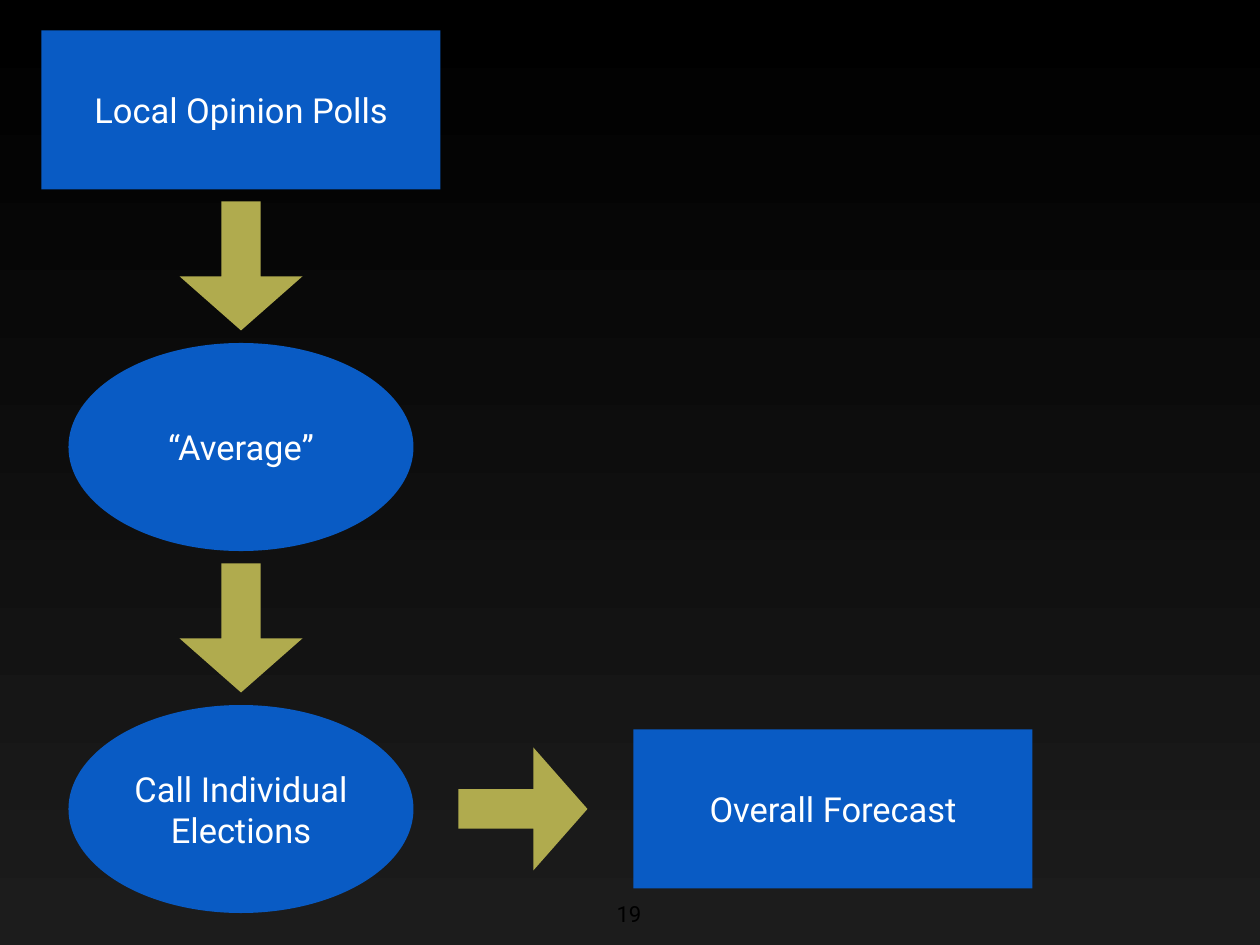
from pptx import Presentation
from pptx.dml.color import RGBColor
from pptx.enum.shapes import MSO_SHAPE
from pptx.enum.text import MSO_ANCHOR, PP_ALIGN
from pptx.util import Pt

PX = 10320
BLACK = RGBColor(0x00, 0x00, 0x00)
CHARCOAL = RGBColor(0x1C, 0x1C, 0x1C)
BLUE = RGBColor(0x09, 0x5B, 0xC4)
OLIVE = RGBColor(0xB0, 0xAB, 0x4E)
WHITE = RGBColor(0xFF, 0xFF, 0xFF)

BOX = (MSO_SHAPE.RECTANGLE, 399, 159)
OVAL = (MSO_SHAPE.OVAL, 345, 208)
ARROW = (MSO_SHAPE.RIGHT_ARROW, 129, 123)
COLUMN_X, RESULT_X = 241, 833
RESULT_Y = 809


def add_centered(kind, center_x, center_y, color):
    """Add a plain filled shape around a centre point given in px."""
    preset, width, height = kind
    shape = slide.shapes.add_shape(
        preset, round((center_x - width / 2) * PX), round((center_y - height / 2) * PX),
        width * PX, height * PX)
    shape.shadow.inherit = False
    shape.fill.solid()
    shape.fill.fore_color.rgb = color
    shape.line.fill.background()
    return shape


def write_centered(frame, text, size, color):
    frame.margin_left = frame.margin_right = frame.margin_top = frame.margin_bottom = 0
    frame.vertical_anchor = MSO_ANCHOR.MIDDLE
    frame.word_wrap = True
    frame.text = text
    paragraph = frame.paragraphs[0]
    paragraph.alignment = PP_ALIGN.CENTER
    font = paragraph.runs[0].font
    font.name = "Roboto"
    font.size = Pt(size)
    font.color.rgb = color


prs = Presentation()
prs.slide_width = 1260 * PX
prs.slide_height = 945 * PX
slide = prs.slides.add_slide(prs.slide_layouts[6])

backdrop = slide.background.fill
backdrop.gradient()
backdrop.gradient_angle = 270
for stop, color in zip(backdrop.gradient_stops, (BLACK, CHARCOAL)):
    stop.color.rgb = color

steps = [
    (BOX, COLUMN_X, 110, "Local Opinion Polls"),
    (OVAL, COLUMN_X, 447, "“Average”"),
    (OVAL, COLUMN_X, RESULT_Y, "Call Individual Elections"),
    (BOX, RESULT_X, RESULT_Y, "Overall Forecast"),
]
for kind, x, y, label in steps:
    step = add_centered(kind, x, y, BLUE)
    write_centered(step.text_frame, label, 28, WHITE)

arrows = [(COLUMN_X, 266, 90), (COLUMN_X, 628, 90), (523, RESULT_Y, 0)]
for x, y, rotation in arrows:
    arrow = add_centered(ARROW, x, y, OLIVE)
    arrow.rotation = rotation
    arrow.adjustments[0] = 0.32
    arrow.adjustments[1] = 0.44

slide_number = slide.shapes.add_textbox(609 * PX, 899 * PX, 40 * PX, 30 * PX)
write_centered(slide_number.text_frame, "19", 18, BLACK)

prs.save("out.pptx")
